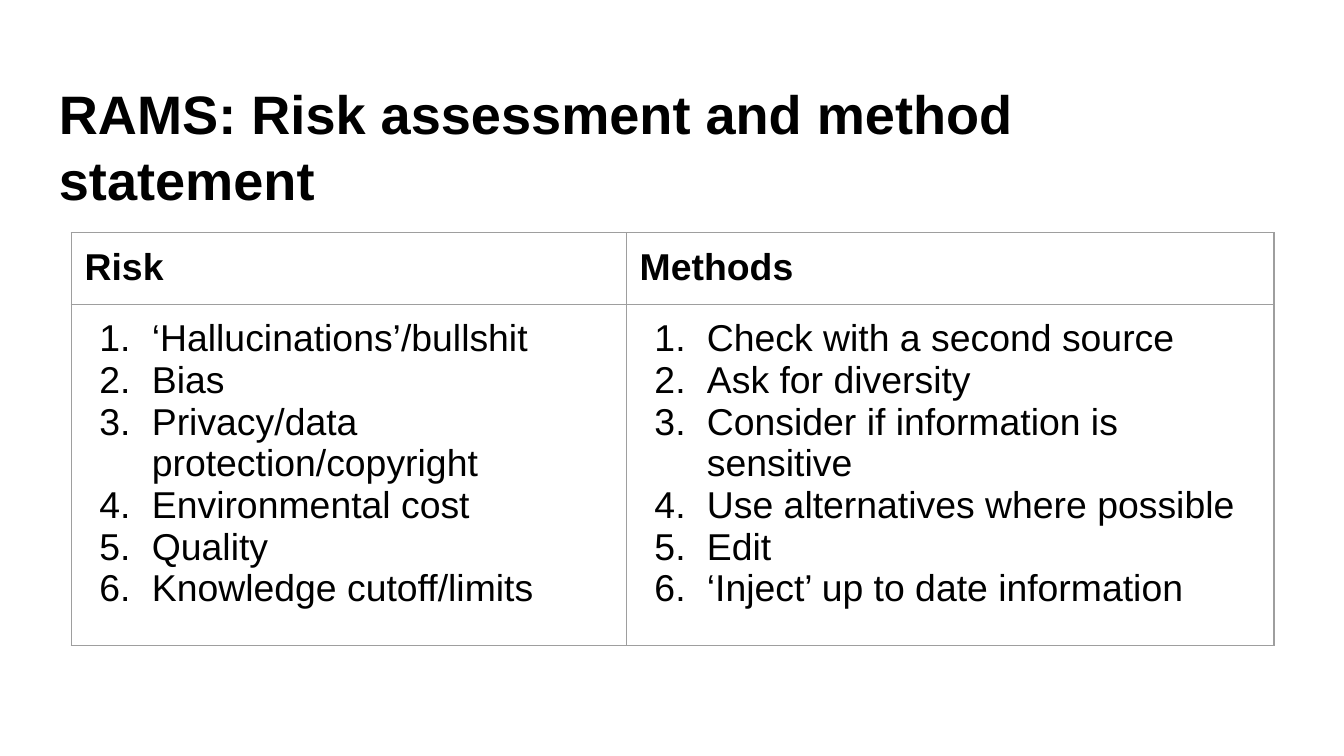
from dataclasses import dataclass

from lxml.etree import SubElement
from pptx import Presentation
from pptx.dml.color import RGBColor
from pptx.enum.text import MSO_ANCHOR
from pptx.oxml.ns import qn
from pptx.util import Inches, Pt


@dataclass(frozen=True)
class Theme:
    font: str = "Arial"
    ink: str = "000000"
    paper: str = "FFFFFF"
    border: str = "9E9E9E"
    border_width: float = 0.75
    title_size: int = 29
    title_leading: float = 35.4
    table_size: int = 20
    inset: float = 0.1
    list_indent: float = 0.5
    list_hanging: float = 0.39


class SlideBuilder:
    """Holds the theme and the current slide; places are shares of the slide."""

    def __init__(self, presentation, theme):
        self.theme = theme
        self.width = presentation.slide_width
        self.height = presentation.slide_height
        self.slide = presentation.slides.add_slide(presentation.slide_layouts[6])
        background = self.slide.background.fill
        background.solid()
        background.fore_color.rgb = RGBColor.from_string(theme.paper)

    def place(self, left, top, width, height):
        return (round(left * self.width), round(top * self.height),
                round(width * self.width), round(height * self.height))

    def set_insets(self, container):
        for side in ("left", "right", "top", "bottom"):
            setattr(container, f"margin_{side}", Inches(self.theme.inset))

    def add_run(self, paragraph, text, size, bold=False):
        run = paragraph.add_run()
        run.text = text
        run.font.name = self.theme.font
        run.font.size = Pt(size)
        run.font.bold = bold
        run.font.color.rgb = RGBColor.from_string(self.theme.ink)

    def number(self, paragraph):
        """Make the paragraph an item of a numbered list."""
        properties = paragraph._p.get_or_add_pPr()
        properties.set("marL", str(Inches(self.theme.list_indent)))
        properties.set("indent", str(-Inches(self.theme.list_hanging)))
        color = SubElement(properties, qn("a:buClr"))
        SubElement(color, qn("a:srgbClr"), val=self.theme.ink)
        SubElement(properties, qn("a:buFont"), typeface=self.theme.font)
        SubElement(properties, qn("a:buAutoNum"), type="arabicPeriod")

    def title(self, text, *place):
        frame = self.slide.shapes.add_textbox(*self.place(*place)).text_frame
        frame.word_wrap = True
        frame.vertical_anchor = MSO_ANCHOR.TOP
        self.set_insets(frame)
        paragraph = frame.paragraphs[0]
        paragraph.line_spacing = Pt(self.theme.title_leading)
        self.add_run(paragraph, text, self.theme.title_size, bold=True)

    def style_cell(self, cell):
        self.set_insets(cell)
        properties = cell._tc.get_or_add_tcPr()
        for edge in ("lnL", "lnR", "lnT", "lnB"):
            line = SubElement(properties, qn(f"a:{edge}"),
                              w=str(Pt(self.theme.border_width)))
            fill = SubElement(line, qn("a:solidFill"))
            SubElement(fill, qn("a:srgbClr"), val=self.theme.border)
        cell.fill.background()

    def list_table(self, lists, column_shares, row_share, *place):
        """Draw one column per list, with its heading above its numbered items.

        Rows start at row_share and grow with their text.
        """
        left, top, width, height = self.place(*place)
        frame = self.slide.shapes.add_table(2, len(lists), left, top, width, height)
        table = frame.table
        table.first_row = table.horz_banding = False
        for row in table.rows:
            row.height = round(row_share * self.height)
        for index, (heading, items) in enumerate(lists.items()):
            table.columns[index].width = round(column_shares[index] * self.width)
            header, body = table.cell(0, index), table.cell(1, index)
            self.style_cell(header)
            self.style_cell(body)
            self.add_run(header.text_frame.paragraphs[0], heading,
                         self.theme.table_size, bold=True)
            for position, item in enumerate(items):
                text_frame = body.text_frame
                paragraph = (text_frame.add_paragraph() if position
                             else text_frame.paragraphs[0])
                self.number(paragraph)
                self.add_run(paragraph, item, self.theme.table_size)
        frame.width, frame.height = width, height


RISKS_AND_METHODS = {
    "Risk": [
        "‘Hallucinations’/bullshit",
        "Bias",
        "Privacy/data protection/copyright",
        "Environmental cost",
        "Quality",
        "Knowledge cutoff/limits",
    ],
    "Methods": [
        "Check with a second source",
        "Ask for diversity",
        "Consider if information is sensitive",
        "Use alternatives where possible",
        "Edit",
        "‘Inject’ up to date information",
    ],
}


def main():
    presentation = Presentation()
    presentation.slide_width = Inches(10)
    presentation.slide_height = presentation.slide_width * 9 // 16
    builder = SlideBuilder(presentation, Theme())
    builder.title("RAMS: Risk assessment and method statement",
                  0.034, 0.087, 0.93, 0.112)
    builder.list_table(RISKS_AND_METHODS, (0.413, 0.482), 0.075,
                       0.053, 0.308, 0.328, 0.583)
    presentation.save("out.pptx")


if __name__ == "__main__":
    main()
